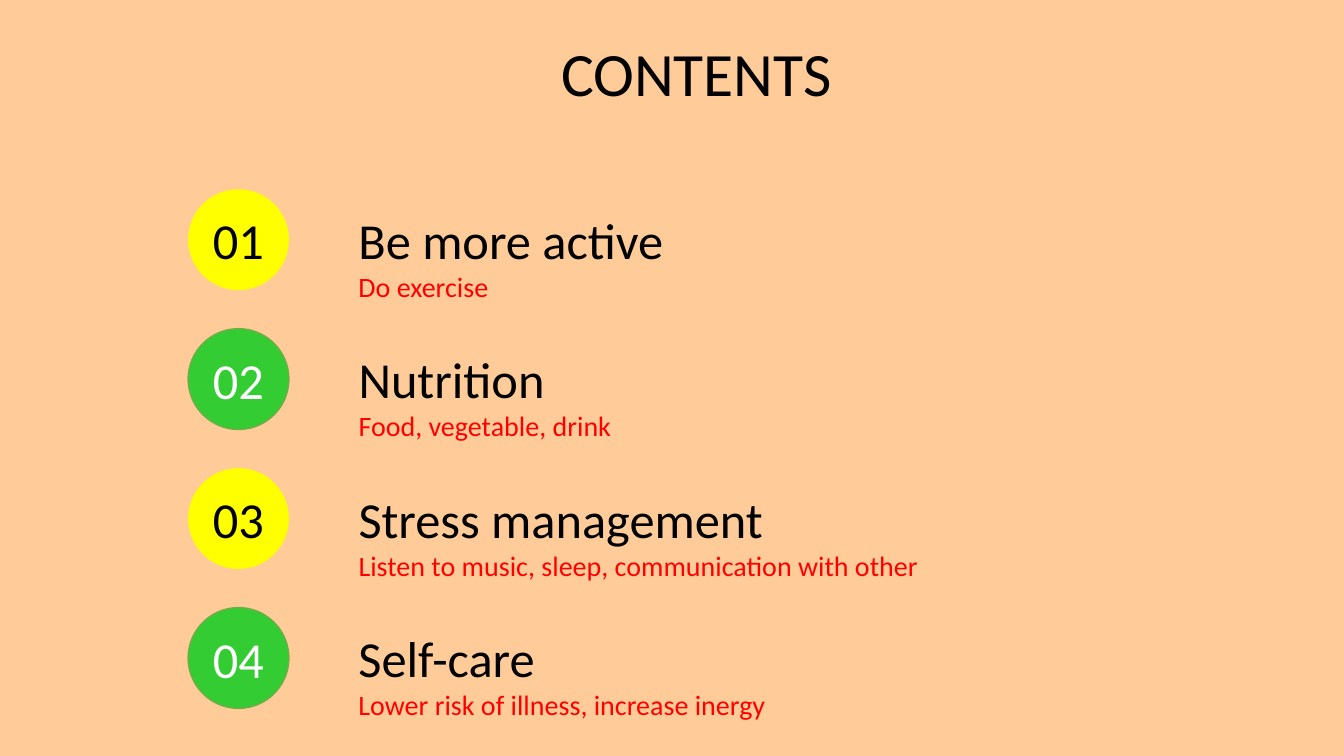
"""Build a contents slide with four numbered topics."""
from dataclasses import dataclass

from pptx import Presentation
from pptx.dml.color import RGBColor
from pptx.enum.shapes import MSO_SHAPE
from pptx.enum.text import MSO_ANCHOR, MSO_AUTO_SIZE, PP_ALIGN
from pptx.shapes.autoshape import Shape
from pptx.slide import Slide
from pptx.util import Pt

OVAL = MSO_SHAPE.OVAL
MIDDLE = MSO_ANCHOR.MIDDLE
GROW = MSO_AUTO_SIZE.SHAPE_TO_FIT_TEXT
LEFT = PP_ALIGN.LEFT
CENTER = PP_ALIGN.CENTER

FONT = "Calibri"
HUES = {
    "peach": "FFCC99",
    "yellow": "FFFF00",
    "green": "33CC33",
    "moss": "70AD47",
    "black": "000000",
    "white": "FFFFFF",
    "red": "FF0000",
}
TOP = 135.2
STEP = 99.6
DISC = 72
DROP = 10.4


@dataclass
class Line:
    text: str
    size: float
    hue: str


@dataclass
class Topic:
    head: str
    note: str
    width: float


@dataclass
class Style:
    fill: str
    ink: str
    edge: str | None


TOPICS = [
    Topic("Be more active", "Do exercise", 249),
    Topic("Nutrition", "Food, vegetable, drink", 215),
    Topic("Stress management", "Listen to music, sleep, communication with other", 420),
    Topic("Self-care", "Lower risk of illness, increase inergy", 429),
]
STYLES = [Style("yellow", "black", None), Style("green", "white", "moss")]


def color(hue: str) -> RGBColor:
    return RGBColor.from_string(HUES[hue])


def write(shape: Shape, lines: list[Line], align: PP_ALIGN) -> None:
    frame = shape.text_frame
    frame.word_wrap = True
    for i, line in enumerate(lines):
        para = frame.add_paragraph() if i else frame.paragraphs[0]
        para.alignment = align
        run = para.add_run()
        run.text = line.text
        run.font.name = FONT
        run.font.size = Pt(line.size)
        run.font.color.rgb = color(line.hue)


def add_text(slide: Slide, left: float, top: float, width: float, height: float,
             lines: list[Line], align: PP_ALIGN = LEFT) -> None:
    box = slide.shapes.add_textbox(Pt(left), Pt(top), Pt(width), Pt(height))
    write(box, lines, align)
    box.text_frame.auto_size = GROW


def add_disc(slide: Slide, top: float, label: str, style: Style) -> None:
    disc = slide.shapes.add_shape(OVAL, Pt(134.4), Pt(top), Pt(DISC), Pt(DISC))
    disc.shadow.inherit = False
    disc.fill.solid()
    disc.fill.fore_color.rgb = color(style.fill)
    if style.edge:
        disc.line.color.rgb = color(style.edge)
        disc.line.width = Pt(1)
    else:
        disc.line.fill.background()
    write(disc, [Line(label, 36, style.ink)], CENTER)
    disc.text_frame.vertical_anchor = MIDDLE


def main() -> None:
    deck = Presentation()
    deck.slide_width, deck.slide_height = Pt(960), Pt(540)
    slide = deck.slides.add_slide(deck.slide_layouts[6])
    slide.background.fill.solid()
    slide.background.fill.fore_color.rgb = color("peach")
    add_text(slide, 293, 21.6, 409, 60.5, [Line("CONTENTS", 44, "black")], CENTER)
    for i, topic in enumerate(TOPICS):
        top = TOP + i * STEP
        add_disc(slide, top, f"{i + 1:02}", STYLES[i % len(STYLES)])
        lines = [Line(topic.head, 36, "black"), Line(topic.note, 20, "red")]
        add_text(slide, 249, top + DROP, topic.width, 75, lines)
    deck.save("out.pptx")


if __name__ == "__main__":
    main()
